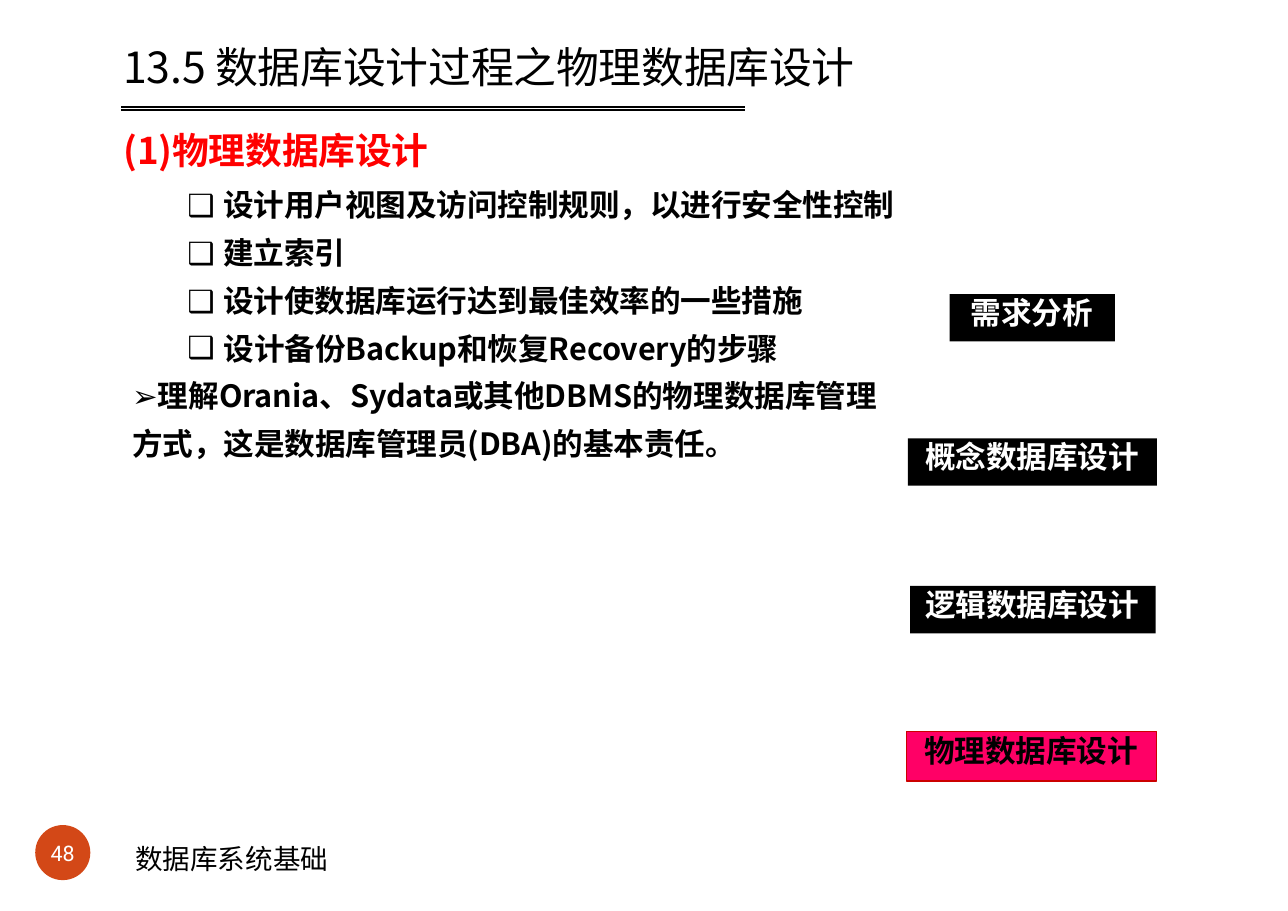
from dataclasses import dataclass

from lxml import etree
from pptx import Presentation
from pptx.dml import color as c
from pptx.enum import shapes, text
from pptx.oxml import ns
from pptx import util as u


@dataclass(frozen=True)
class Theme:
    black: str = "000000"
    white: str = "FFFFFF"
    red: str = "FF0000"
    badge: str = "D34817"
    highlight: str = "FF0066"
    highlight_line: str = "CC0000"
    title_font: str = "Noto Sans CJK TC"
    body_font: str = "Noto Sans CJK SC"
    symbol_font: str = "Arial"
    footer_font: str = "Calibri"
    number_font: str = "Roboto"
    title_size: float = 28
    heading_size: float = 24
    body_size: float = 20
    footer_size: float = 18
    number_size: float = 14


@dataclass(frozen=True)
class Stage:
    label: str
    left: float
    top: float
    width: float
    height: float
    indent: float
    fill: str
    color: str
    line: str | None = None


@dataclass(frozen=True)
class Rule:
    top: float
    weight: float


THEME = Theme()
STAGES = [
    Stage("需求分析", 8.62, 2.67, 1.5, 0.43, 0.19, THEME.black, THEME.white),
    Stage("概念数据库设计", 8.24, 3.98, 2.26, 0.43, 0.16, THEME.black, THEME.white),
    Stage("逻辑数据库设计", 8.26, 5.32, 2.23, 0.43, 0.14, THEME.black, THEME.white),
    Stage("物理数据库设计", 8.23, 6.64, 2.27, 0.45, 0.16,
          THEME.highlight, THEME.black, THEME.highlight_line),
]
RULES = [Rule(0.97, 1.02), Rule(1.0, 0.96)]
TASKS = [
    "设计用户视图及访问控制规则，以进行安全性控制",
    "建立索引",
    "设计使数据库运行达到最佳效率的一些措施",
]
BACKUP_TASK = "设计备份Backup和恢复Recovery的步骤"
DUTY = "理解Orania、Sydata或其他DBMS的物理数据库管理 方式，这是数据库管理员(DBA)的基本责任。"


def add_run(paragraph, content: str, *, size: float = THEME.body_size,
            font: str = THEME.body_font, color: str = THEME.black,
            bold: bool = False, spacing: int = -10) -> None:
    run = paragraph.add_run()
    run.text = content
    run.font.size = u.Pt(size)
    run.font.bold = bold
    run.font.color.rgb = c.RGBColor.from_string(color)
    run.font.name = font
    properties = run.font._element
    properties.set("spc", str(spacing))
    etree.SubElement(properties, ns.qn("a:ea"), typeface=font)


def next_paragraph(frame, *, left: float = 0, hanging: float = 0,
                   before: float = 0, line_spacing: float | None = None):
    first = frame.paragraphs[0]
    paragraph = frame.add_paragraph() if first.runs else first
    properties = paragraph._p.get_or_add_pPr()
    properties.set("marL", str(u.Inches(left)))
    properties.set("indent", str(u.Inches(-hanging)))
    if before:
        paragraph.space_before = u.Pt(before)
    if line_spacing:
        paragraph.line_spacing = line_spacing
    return paragraph


def add_bullet(paragraph, symbol: str, tab: float) -> None:
    properties = paragraph._p.get_or_add_pPr()
    etree.SubElement(properties, ns.qn("a:buFont"), typeface=THEME.symbol_font)
    etree.SubElement(properties, ns.qn("a:buChar"), char=symbol)
    tabs = etree.SubElement(properties, ns.qn("a:tabLst"))
    etree.SubElement(tabs, ns.qn("a:tab"), pos=str(u.Inches(tab)), algn="l")


def clear_margins(frame) -> None:
    frame.margin_left = frame.margin_right = 0
    frame.margin_top = frame.margin_bottom = 0


def add_text_box(slide, left: float, top: float, width: float, height: float):
    box = slide.shapes.add_textbox(*map(u.Inches, (left, top, width, height)))
    box.text_frame.word_wrap = True
    return box.text_frame


def add_filled_shape(slide, kind, left: float, top: float, width: float,
                     height: float, *, fill: str, line: str | None = None):
    shape = slide.shapes.add_shape(kind, *map(u.Inches, (left, top, width, height)))
    shape.shadow.inherit = False
    shape.fill.solid()
    shape.fill.fore_color.rgb = c.RGBColor.from_string(fill)
    if line:
        shape.line.color.rgb = c.RGBColor.from_string(line)
        shape.line.width = u.Pt(0.75)
    else:
        shape.line.fill.background()
    clear_margins(shape.text_frame)
    return shape.text_frame


def draw_stage(slide, stage: Stage) -> None:
    frame = add_filled_shape(slide, shapes.MSO_SHAPE.RECTANGLE, stage.left, stage.top,
                             stage.width, stage.height, fill=stage.fill, line=stage.line)
    frame.vertical_anchor = text.MSO_ANCHOR.TOP
    paragraph = next_paragraph(frame, left=stage.indent)
    paragraph.alignment = text.PP_ALIGN.LEFT
    add_run(paragraph, stage.label, color=stage.color, bold=True)


def draw_rule(slide, rule: Rule) -> None:
    connector = slide.shapes.add_connector(
        shapes.MSO_CONNECTOR.STRAIGHT,
        *map(u.Inches, (1.1, rule.top, 6.76, rule.top)))
    connector.line.color.rgb = c.RGBColor.from_string(THEME.black)
    connector.line.width = u.Pt(rule.weight)
    etree.SubElement(connector._element.spPr, ns.qn("a:effectLst"))


def draw_footer(slide) -> None:
    badge = add_filled_shape(slide, shapes.MSO_SHAPE.OVAL, 0.32, 7.49, 0.5, 0.5,
                             fill=THEME.badge)
    badge.word_wrap = False
    badge.vertical_anchor = text.MSO_ANCHOR.MIDDLE
    number = next_paragraph(badge)
    number.alignment = text.PP_ALIGN.CENTER
    add_run(number, "48", size=THEME.number_size, font=THEME.number_font,
            color=THEME.white, spacing=0)
    footer = add_text_box(slide, 1.13, 7.59, 2.55, 0.4)
    add_run(next_paragraph(footer), "数据库系统基础", size=THEME.footer_size,
            font=THEME.footer_font, spacing=0)


def draw_title(slide) -> None:
    frame = add_text_box(slide, 1.11, 0.37, 9.47, 1.2)
    clear_margins(frame)
    add_run(next_paragraph(frame, left=0.01), "13.5 数据库设计过程之物理数据库设计",
            size=THEME.title_size, font=THEME.title_font)
    add_run(next_paragraph(frame, left=0.01, before=23), "(1)物理数据库设计",
            size=THEME.heading_size, font=THEME.title_font, color=THEME.red, bold=True)


def draw_body(slide) -> None:
    frame = add_text_box(slide, 1.19, 1.69, 6.97, 2.48)
    clear_margins(frame)
    for index, task in enumerate(TASKS):
        paragraph = next_paragraph(frame, left=0.51, before=7.2 if index else 0)
        add_run(paragraph, "❑ ", font=THEME.symbol_font)
        add_run(paragraph, task, bold=True)
    backup = next_paragraph(frame, left=0.84, hanging=0.33, before=7.2)
    add_bullet(backup, "❑", 0.85)
    add_run(backup, BACKUP_TASK, bold=True)
    duty = next_paragraph(frame, left=0.01, line_spacing=1.3)
    add_run(duty, "➢", font=THEME.symbol_font)
    add_run(duty, DUTY, bold=True)


def main() -> None:
    presentation = Presentation()
    presentation.slide_width = u.Inches(11.69)
    presentation.slide_height = u.Inches(8.27)
    slide = presentation.slides.add_slide(presentation.slide_layouts[6])
    draw_footer(slide)
    for stage in STAGES:
        draw_stage(slide, stage)
    draw_body(slide)
    draw_title(slide)
    for rule in RULES:
        draw_rule(slide, rule)
    presentation.save("out.pptx")


if __name__ == "__main__":
    main()
